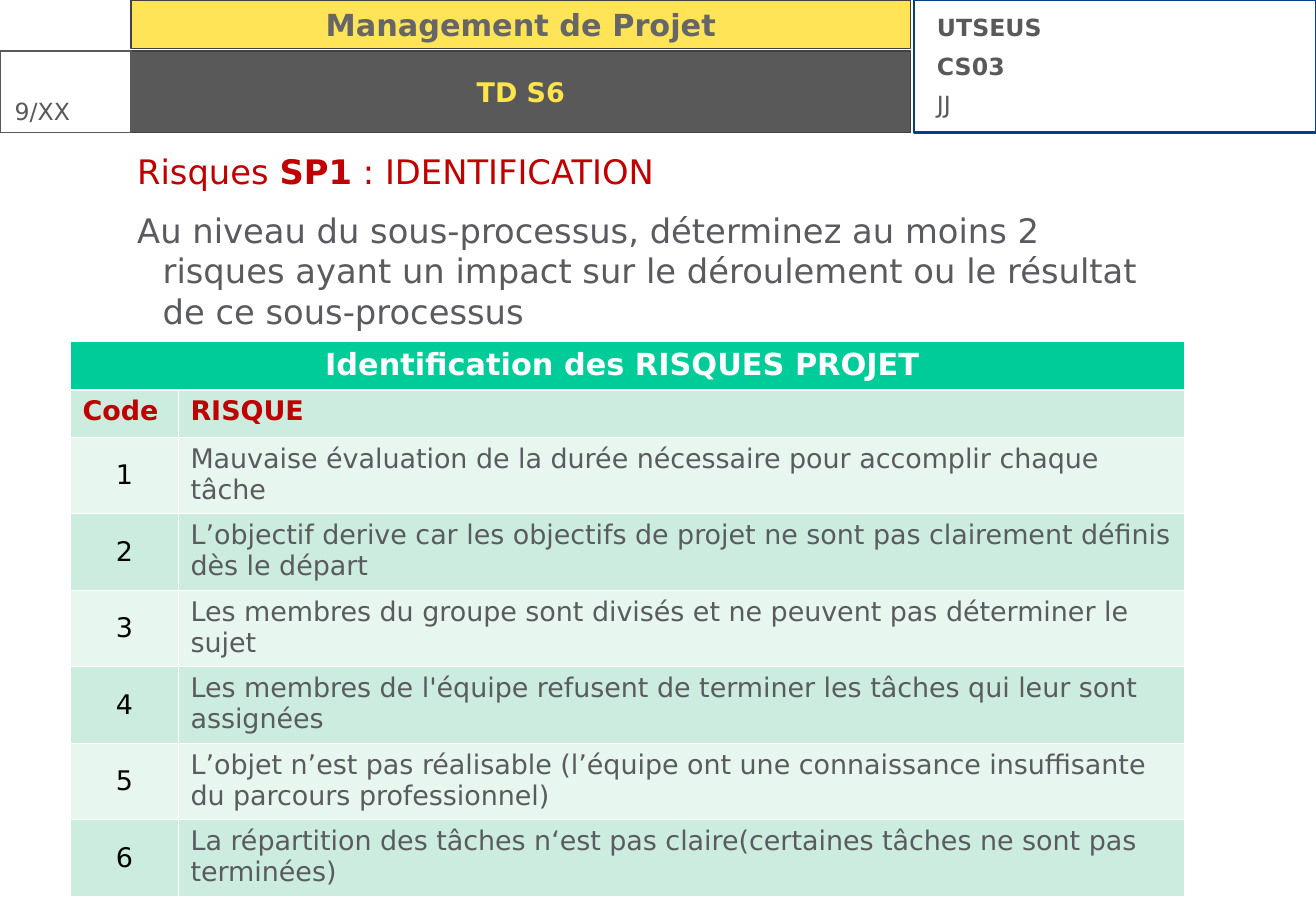
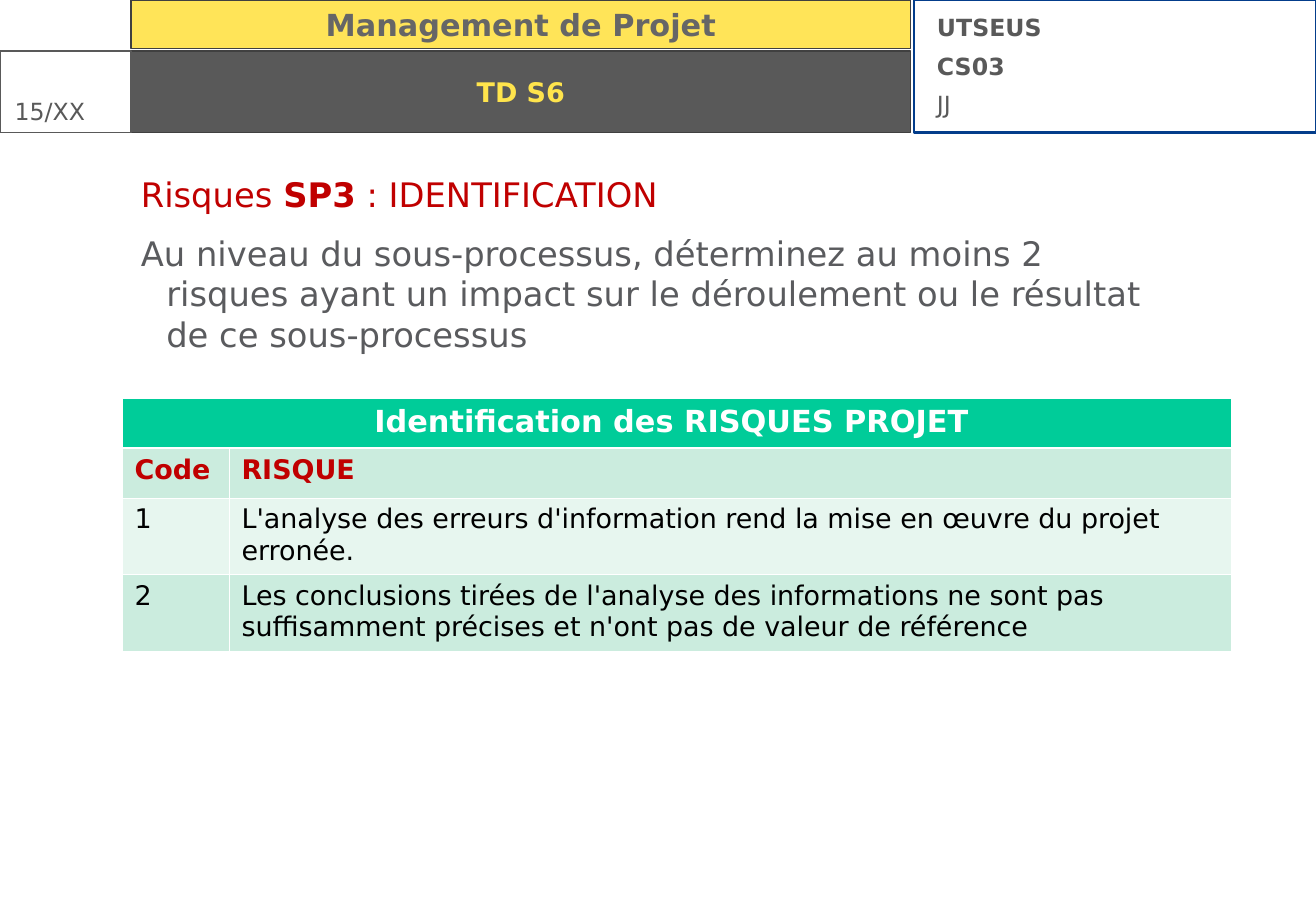
from dataclasses import dataclass
from typing import Any, NamedTuple, Optional

from lxml.etree import SubElement
from pptx import Presentation
from pptx.dml.color import RGBColor
from pptx.enum.shapes import MSO_SHAPE as Preset
from pptx.enum.text import MSO_ANCHOR as Anchor, MSO_AUTO_SIZE as AutoSize, PP_ALIGN as Align
from pptx.oxml.ns import qn
from pptx.util import Pt

EMU_PER_PX = 9144
TITLE_ONLY = 5
FONT_NAME = "DejaVu Sans"
COLORS = {
    "navy": "033D8B",
    "yellow": "FFD912",
    "title": "FFE44C",
    "edge": "404040",
    "gray": "595959",
    "course": "666666",
    "body": "5A5B5E",
    "red": "C00000",
    "green": "00CC99",
    "mint": "CBECDE",
    "pale": "E7F6EF",
    "white": "FFFFFF",
    "black": "000000",
}
TEACHING_UNIT = (("UTSEUS", True), ("CS03", True), ("JJ", False))
INSTRUCTION = (
    "Au niveau du sous-processus, déterminez au moins 2 risques ayant un impact "
    "sur le déroulement ou le résultat de ce sous-processus"
)
TABLE_TITLE = "Identification des RISQUES PROJET "
TABLE_HEADINGS = ("Code", "RISQUE")
THIN_BORDER, THICK_BORDER = 0.45, 1.47


class Box(NamedTuple):
    left: int
    top: int
    width: int
    height: int


class Insets(NamedTuple):
    left: int = 10
    top: int = 5
    right: int = 10
    bottom: int = 5


class Style(NamedTuple):
    size: int
    color: str
    bold: bool = False


class Frame(NamedTuple):
    box: Box
    line: str
    weight: float
    fill: Optional[str] = None
    opacity: int = 100


@dataclass
class RiskSlide:
    page: str
    process: str
    body: Box
    table: Box
    columns: tuple[int, int]
    heading_rows: tuple[int, int]
    risks: tuple[str, ...]
    code_align: Align
    code_anchor: Anchor
    risk_color: str


COURSE_BAND = Frame(Box(108, 0, 642, 40), "edge", 0.75, "yellow", 70)
TITLE_BAND = Frame(Box(108, 42, 642, 67), "edge", 0.75, "gray")
UNIT_FRAME = Frame(Box(753, 0, 331, 109), "navy", 1.5)
PAGE_FRAME = Frame(Box(0, 42, 108, 67), "gray", 0.75)
RISK_ROW_HEIGHT = 63

RISK_SLIDES = (
    RiskSlide(
        page="9/XX",
        process="SP1",
        body=Box(101, 123, 875, 554),
        table=Box(58, 281, 918, 457),
        columns=(89, 829),
        heading_rows=(40, 39),
        risks=(
            "Mauvaise évaluation de la durée nécessaire pour accomplir chaque tâche",
            "L’objectif derive car les objectifs de projet ne sont pas clairement définis dès le départ",
            "Les membres du groupe sont divisés et ne peuvent pas déterminer le sujet",
            "Les membres de l'équipe refusent de terminer les tâches qui leur sont assignées",
            "L’objet n’est pas réalisable (l’équipe ont une connaissance insuffisante du parcours professionnel)",
            "La répartition des tâches n‘est pas claire(certaines tâches ne sont pas terminées)",
        ),
        code_align=Align.CENTER,
        code_anchor=Anchor.MIDDLE,
        risk_color="body",
    ),
    RiskSlide(
        page="15/XX",
        process="SP3",
        body=Box(104, 142, 875, 554),
        table=Box(101, 328, 913, 208),
        columns=(88, 825),
        heading_rows=(41, 41),
        risks=(
            "L'analyse des erreurs d'information rend la mise en œuvre du projet erronée.",
            "Les conclusions tirées de l'analyse des informations ne sont pas "
            "suffisamment précises et n'ont pas de valeur de référence",
        ),
        code_align=Align.LEFT,
        code_anchor=Anchor.TOP,
        risk_color="black",
    ),
)


def px(length: int) -> int:
    return length * EMU_PER_PX


def color(name: str) -> RGBColor:
    return RGBColor.from_string(COLORS[name])


def set_values(target: Any, values: dict[str, Any]) -> None:
    for name, value in values.items():
        setattr(target, name, value)


def place(shape: Any, box: Box) -> None:
    set_values(shape, {name: px(length) for name, length in box._asdict().items()})


def set_frame(text_frame: Any, insets: Insets = Insets(), anchor: Anchor = Anchor.TOP) -> None:
    margins = {f"margin_{side}": px(length) for side, length in insets._asdict().items()}
    set_values(
        text_frame,
        {**margins, "word_wrap": True, "auto_size": AutoSize.NONE, "vertical_anchor": anchor},
    )


def add_run(paragraph: Any, text: str, style: Style) -> None:
    run = paragraph.add_run()
    run.text = text
    set_values(run.font, {"name": FONT_NAME, "size": Pt(style.size), "bold": style.bold})
    run.font.color.rgb = color(style.color)


def write_line(text_frame: Any, text: str, style: Style, align: Align = Align.LEFT) -> None:
    paragraph = text_frame.paragraphs[0]
    paragraph.alignment = align
    add_run(paragraph, text, style)


def paint(shape: Any, frame: Frame) -> None:
    shape.line.color.rgb = color(frame.line)
    shape.line.width = Pt(frame.weight)
    if frame.fill is None:
        shape.fill.background()
        return
    shape.fill.solid()
    shape.fill.fore_color.rgb = color(frame.fill)
    if frame.opacity < 100:
        solid = shape._element.spPr.find(qn("a:solidFill"))
        SubElement(solid[0], qn("a:alpha"), val=str(frame.opacity * 1000))


def add_frame(slide: Any, frame: Frame) -> Any:
    shape = slide.shapes.add_shape(Preset.RECTANGLE, *map(px, frame.box))
    shape.shadow.inherit = False
    paint(shape, frame)
    return shape


def add_text_box(slide: Any, box: Box, insets: Insets = Insets()) -> Any:
    text_frame = slide.shapes.add_textbox(*map(px, box)).text_frame
    set_frame(text_frame, insets)
    return text_frame


def add_header(slide: Any, page: str) -> None:
    add_frame(slide, UNIT_FRAME)
    course = add_frame(slide, COURSE_BAND).text_frame
    set_frame(course)
    write_line(course, "Management de Projet", Style(18, "course", True), Align.CENTER)

    page_text = add_text_box(slide, Box(0, 75, 108, 60), Insets(left=12, right=0))
    write_line(page_text, page, Style(14, "gray"))
    add_frame(slide, PAGE_FRAME)

    unit = add_text_box(slide, Box(762, 6, 317, 97))
    for index, (text, bold) in enumerate(TEACHING_UNIT):
        paragraph = unit.add_paragraph() if index else unit.paragraphs[0]
        paragraph.space_after = Pt(6)
        add_run(paragraph, text, Style(14, "gray", bold))

    title = slide.shapes.title
    place(title, TITLE_BAND.box)
    paint(title, TITLE_BAND)
    set_frame(title.text_frame, anchor=Anchor.MIDDLE)
    write_line(title.text_frame, "TD S6", Style(16, "title", True), Align.CENTER)


def add_body(slide: Any, content: RiskSlide) -> None:
    text_frame = add_text_box(slide, content.body, Insets(12, 1, 12, 0))
    heading, instruction = text_frame.paragraphs[0], text_frame.add_paragraph()
    for paragraph in (heading, instruction):
        properties = paragraph._p.get_or_add_pPr()
        properties.set("marL", str(px(21)))
        properties.set("indent", str(px(-21)))
        paragraph.space_after = Pt(6)
    instruction.space_before = Pt(5)
    add_run(heading, "Risques ", Style(20, "red"))
    add_run(heading, content.process, Style(20, "red", True))
    add_run(heading, " : IDENTIFICATION", Style(20, "red"))
    add_run(instruction, INSTRUCTION, Style(20, "body"))


def format_cell(cell: Any, row: int) -> None:
    properties = cell._tc.get_or_add_tcPr()
    thick = {0: "lnB", 1: "lnT"}.get(row)
    for side in ("lnL", "lnR", "lnT", "lnB"):
        weight = THICK_BORDER if side == thick else THIN_BORDER
        border = SubElement(properties, qn(f"a:{side}"), w=str(int(Pt(weight))))
        solid = SubElement(border, qn("a:solidFill"))
        SubElement(solid, qn("a:srgbClr"), val=COLORS["white"])
    cell.fill.solid()
    fill = "green" if row == 0 else ("pale", "mint")[row % 2]
    cell.fill.fore_color.rgb = color(fill if row == 0 else ("mint" if row % 2 else "pale"))


def add_risk_table(slide: Any, content: RiskSlide) -> None:
    heights = content.heading_rows + (RISK_ROW_HEIGHT,) * len(content.risks)
    table = slide.shapes.add_table(len(heights), 2, *map(px, content.table)).table
    table.horz_banding = False
    for column, width in zip(table.columns, content.columns):
        column.width = px(width)
    for index, (row, height) in enumerate(zip(table.rows, heights)):
        row.height = px(height)
        for cell in row.cells:
            format_cell(cell, index)

    table.cell(0, 0).merge(table.cell(0, 1))
    write_line(table.cell(0, 0).text_frame, TABLE_TITLE, Style(18, "white", True), Align.CENTER)
    for column, heading in enumerate(TABLE_HEADINGS):
        write_line(table.cell(1, column).text_frame, heading, Style(16, "red", True))
    for code, risk in enumerate(content.risks, start=1):
        code_cell, risk_cell = table.rows[code + 1].cells
        code_cell.vertical_anchor = content.code_anchor
        write_line(code_cell.text_frame, str(code), Style(16, "black"), content.code_align)
        write_line(risk_cell.text_frame, risk, Style(16, content.risk_color))


def main() -> None:
    presentation = Presentation()
    set_values(presentation, {"slide_width": px(1084), "slide_height": px(750)})
    for content in RISK_SLIDES:
        slide = presentation.slides.add_slide(presentation.slide_layouts[TITLE_ONLY])
        add_header(slide, content.page)
        add_body(slide, content)
        add_risk_table(slide, content)
    presentation.save("out.pptx")


if __name__ == "__main__":
    main()
